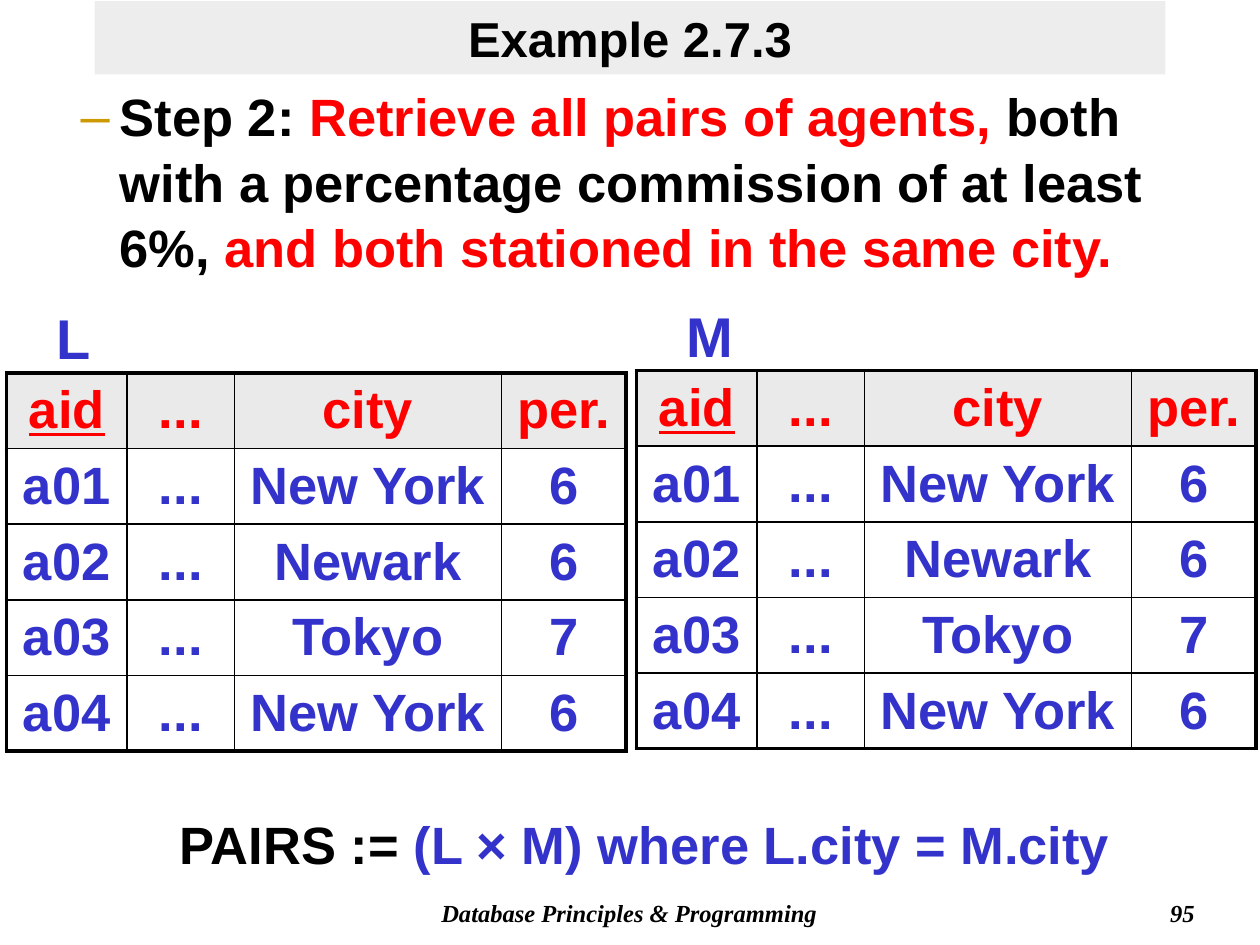
from pptx import Presentation
from pptx.dml.color import RGBColor
from pptx.enum.text import MSO_ANCHOR as Anchor, MSO_AUTO_SIZE as AutoSize, PP_ALIGN as Align
from pptx.oxml.ns import qn
from pptx.util import Inches, Pt
from lxml.etree import SubElement, Element

BLACK = RGBColor(0x00, 0x00, 0x00)
RED = RGBColor(0xFF, 0x00, 0x00)
BLUE = RGBColor(0x33, 0x33, 0xCC)
GOLD = RGBColor(0xCC, 0x99, 0x00)
BANNER = RGBColor(0xDD, 0xDD, 0xDD)
HEADER = RGBColor(0xEA, 0xEA, 0xEA)

COLUMNS = [0.96, 0.85, 2.12, 0.99]
ROW_HEIGHT = 0.6
AGENTS = [
    ["aid", "...", "city", "per."],
    ["a01", "...", "New York", "6"],
    ["a02", "...", "Newark", "6"],
    ["a03", "...", "Tokyo", "7"],
    ["a04", "...", "New York", "6"],
]


class SlideBuilder:
    font = "Arial"
    footer_font = "Times New Roman"
    size = 30
    thin, thick = 1, 2.25

    def __init__(self, slide):
        self.s = slide

    def place(self, shape, box):
        shape.left, shape.top, shape.width, shape.height = map(Inches, box)

    def run(self, p, text, color=BLACK, size=None, font=None, italic=False, underline=False):
        r = p.add_run()
        r.text = text
        f = r.font
        f.name = font or self.font
        f.size = Pt(size or self.size)
        f.bold, f.italic, f.underline = True, italic, underline
        f.color.rgb = color

    def indent(self, p, left, first):
        pPr = p._p.get_or_add_pPr()
        pPr.set("marL", str(Inches(left)))
        pPr.set("indent", str(Inches(first)))
        return pPr

    def title(self, text, box):
        sp = self.s.shapes.title
        self.place(sp, box)
        sp.fill.solid()
        sp.fill.fore_color.rgb = BANNER
        color = sp.element.xpath("./p:spPr//a:srgbClr")[0]
        SubElement(color, qn("a:alpha"), val="50000")
        tf = sp.text_frame
        tf.auto_size = AutoSize.NONE
        tf.vertical_anchor = Anchor.MIDDLE
        p = tf.paragraphs[0]
        p.alignment = Align.CENTER
        self.run(p, text, size=28)

    def body(self, runs, box):
        sp = self.s.placeholders[1]
        self.place(sp, box)
        tf = sp.text_frame
        tf.auto_size = AutoSize.NONE
        p = tf.paragraphs[0]
        p.level = 1
        p.line_spacing = 1.04
        p.space_before = Pt(0)
        pPr = self.indent(p, 0.81, -0.31)
        bullet_color = SubElement(pPr, qn("a:buClr"))
        SubElement(bullet_color, qn("a:srgbClr"), val=str(GOLD))
        SubElement(pPr, qn("a:buChar"), char="–")
        for text, color in runs:
            self.run(p, text, color)

    def text(self, box, align=Align.LEFT, spacing=1.0, indent=(0, 0)):
        tf = self.s.shapes.add_textbox(*map(Inches, box)).text_frame
        tf.word_wrap = True
        p = tf.paragraphs[0]
        p.alignment = align
        p.line_spacing = spacing
        self.indent(p, *indent)
        return p

    def footer(self, text, box, align):
        self.run(self.text(box, align), text, size=14, font=self.footer_font, italic=True)

    def borders(self, cell, widths):
        tcPr = cell._tc.get_or_add_tcPr()
        for i, (side, width) in enumerate(zip("LRTB", widths)):
            ln = Element(qn(f"a:ln{side}"), w=str(Pt(width)))
            fill = SubElement(ln, qn("a:solidFill"))
            SubElement(fill, qn("a:srgbClr"), val=str(BLACK))
            tcPr.insert(i, ln)

    def table(self, rows, left, top):
        last_row, last_col = len(rows) - 1, len(COLUMNS) - 1
        frame = self.s.shapes.add_table(
            len(rows), len(COLUMNS), Inches(left), Inches(top),
            Inches(sum(COLUMNS)), Inches(ROW_HEIGHT * len(rows)))
        table = frame.table
        table.horz_banding = False
        for column, width in zip(table.columns, COLUMNS):
            column.width = Inches(width)
        for i, row in enumerate(rows):
            table.rows[i].height = Inches(ROW_HEIGHT)
            for j, text in enumerate(row):
                cell = table.cell(i, j)
                cell.vertical_anchor = Anchor.MIDDLE
                if i == 0:
                    cell.fill.solid()
                    cell.fill.fore_color.rgb = HEADER
                else:
                    cell.fill.background()
                outer = (j == 0, j == last_col, i == 0, i == last_row)
                self.borders(cell, [self.thick if edge else self.thin for edge in outer])
                p = cell.text_frame.paragraphs[0]
                p.alignment = Align.CENTER
                self.run(p, text, BLUE if i else RED, underline=text == "aid")

    def relation(self, name, left, top):
        self.table(AGENTS, left, top)
        p = self.text((left, top - 0.63, 2.62, 0.63), spacing=1.06, indent=(0, 0.3))
        self.run(p, name, BLUE, size=32)


def main():
    prs = Presentation()
    prs.slide_width, prs.slide_height = Inches(10), Inches(7.5)
    b = SlideBuilder(prs.slides.add_slide(prs.slide_layouts[1]))

    b.footer("Database Principles & Programming", (2.83, 7.08, 4.33, 0.33), Align.CENTER)
    b.footer("95", (7.5, 7.08, 2.08, 0.33), Align.RIGHT)
    b.title("Example 2.7.3", (0.75, 0.01, 8.5, 0.58))
    b.body([
        ("Step 2:", BLACK),
        (" Retrieve all pairs of agents, ", RED),
        ("both with a percentage commission of at least 6%,", BLACK),
        (" and both stationed in the same city.", RED),
    ], (0.04, 0.6, 9.63, 1.82))

    p = b.text((0.33, 6.31, 9.33, 0.83), spacing=1.17, indent=(1.25, -0.25))
    b.run(p, "PAIRS :=")
    b.run(p, " (L × M) where L.city = M.city", BLUE)

    b.relation("L", 0.05, 2.96)
    b.relation("M", 5.05, 2.94)
    prs.save("out.pptx")


if __name__ == "__main__":
    main()
